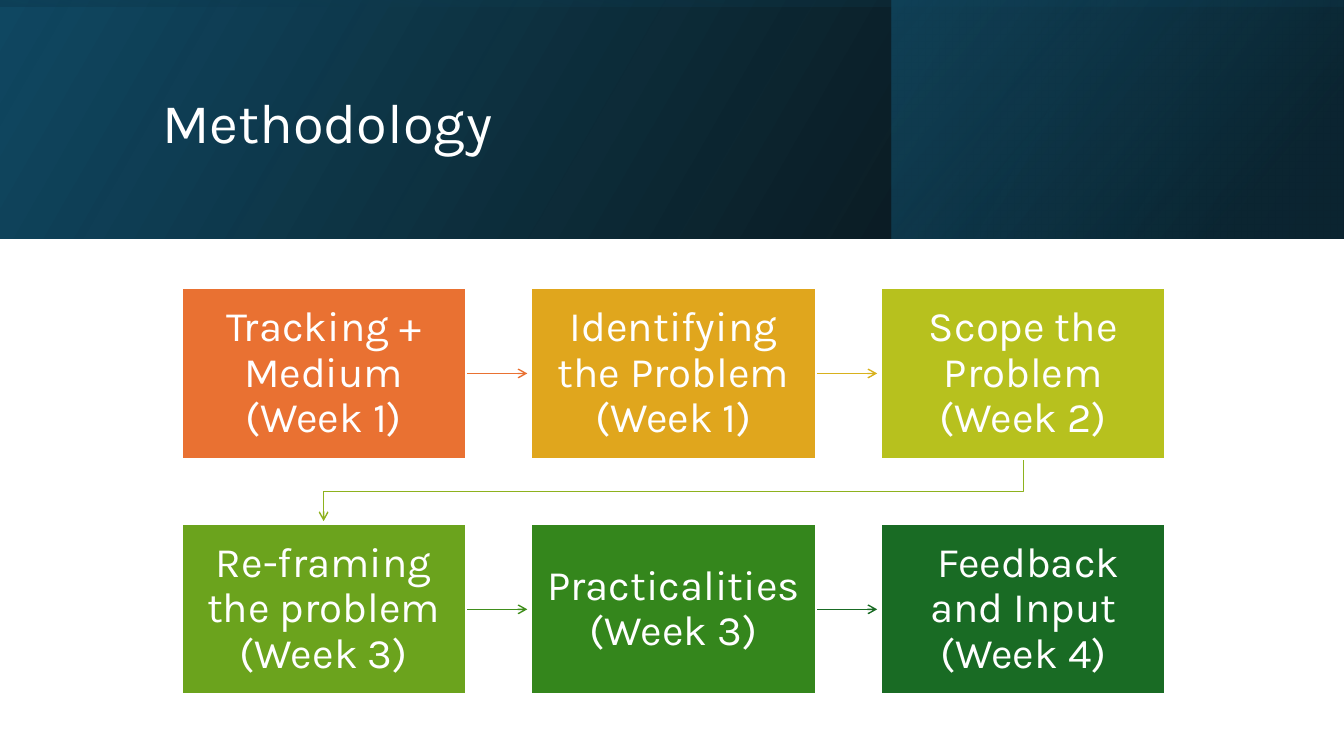
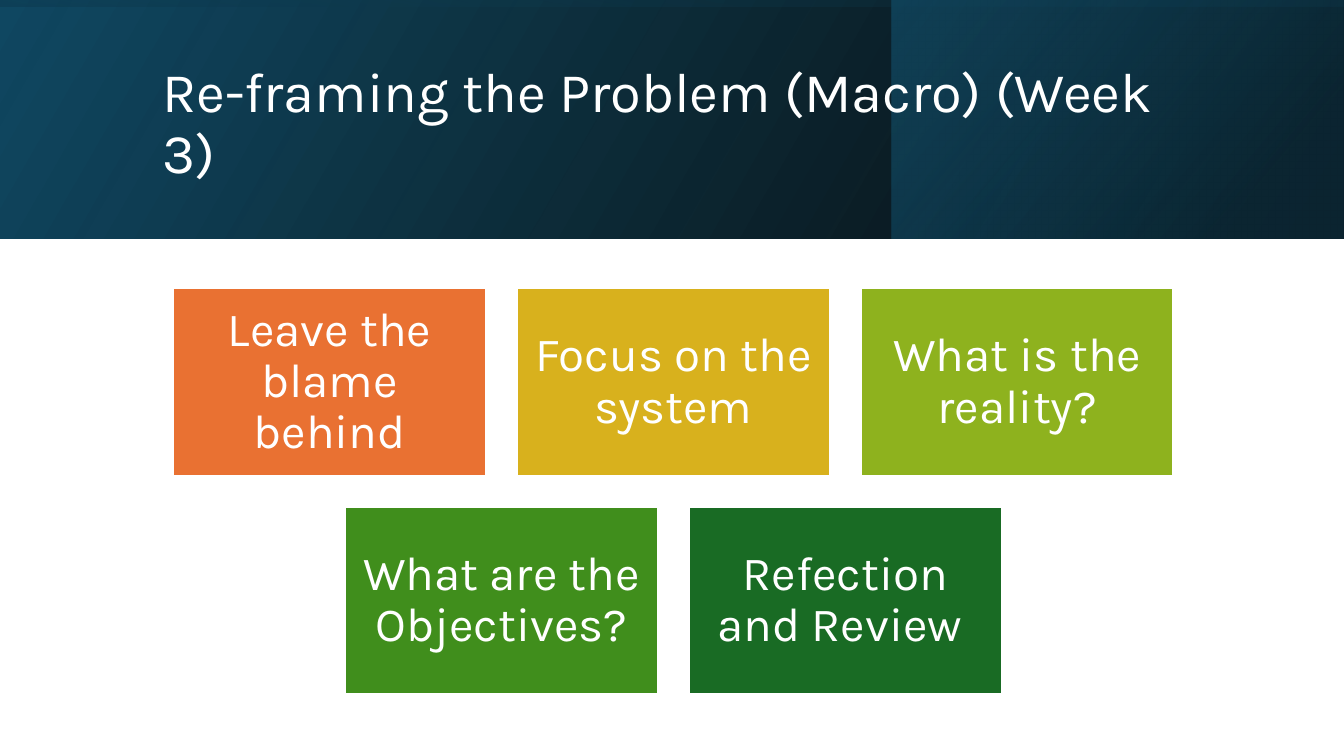
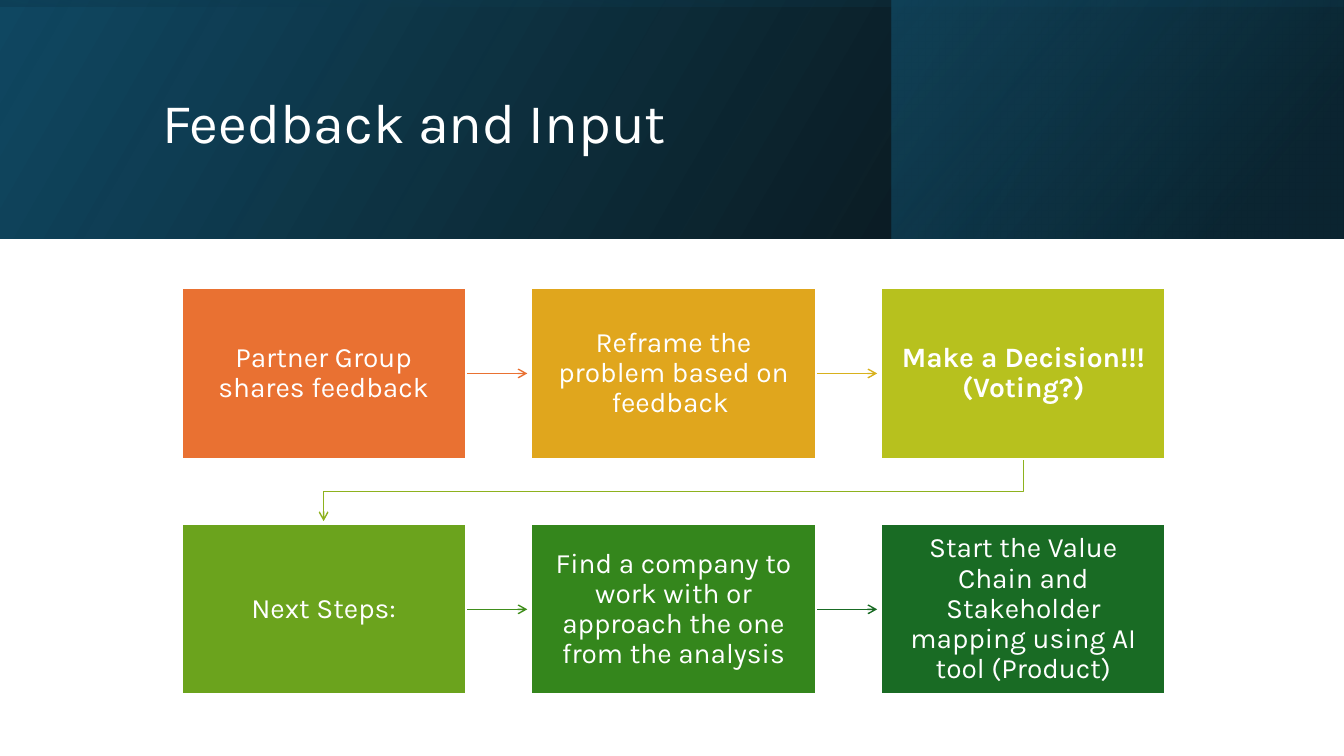
from dataclasses import dataclass

from lxml import etree
from pptx import Presentation
from pptx import util as u
from pptx.dml.color import RGBColor
from pptx.enum import shapes, text
from pptx.oxml.ns import qn

SLIDE_W, SLIDE_H = 13.33, 7.5
BAND_H = 2.37
FONT, WHITE = "Karla", "FFFFFF"
CENTRE_X, GRID_TOP = 6.68, 2.86
ACCENTS = ["E97132", "D8B11D", "8EB21E", "408E1C", "196B24"]
STEP_FILLS = ["E97132", "E0A61D", "B7C11E", "6BA31D", "34861C", "196B24"]


@dataclass(frozen=True)
class Band:
    """A see-through gradient rectangle; stops are (position, colour, alpha) in percent."""
    left: float
    top: float
    width: float
    height: float
    stops: tuple
    angle: int
    rotation: int = 0


@dataclass(frozen=True)
class Grid:
    """Rows of equal boxes, each row centred on the same axis."""
    rows: tuple
    width: float
    height: float
    pitch_x: float
    pitch_y: float

    def cells(self) -> list:
        """Return the left and top of every box in reading order."""
        return [
            (CENTRE_X - (self.width + (n - 1) * self.pitch_x) / 2 + col * self.pitch_x,
             GRID_TOP + row * self.pitch_y)
            for row, n in enumerate(self.rows) for col in range(n)
        ]


@dataclass(frozen=True)
class Box:
    """The wording of one box."""
    label: str
    bold: bool = False


BANDS = [
    Band(0, 0, SLIDE_W, BAND_H, ((0, "000000", 96), (100, "104862", 100)), 330),
    Band(8.84, 0, 4.48, BAND_H, ((19, "0B3041", 68), (100, "156082", 48)), 320),
    Band((SLIDE_W - BAND_H) / 2, (BAND_H - SLIDE_W) / 2, BAND_H, SLIDE_W,
         ((23, "104862", 16), (99, "000000", 45)), 350, 270),
]
FLOW = Grid((3, 3), 2.82, 1.69, 3.47, 2.34)
TILES = Grid((3, 2), 3.1, 1.86, 3.41, 2.17)


def rgb(value: str) -> RGBColor:
    """Turn a hex string into a colour."""
    return RGBColor.from_string(value)


def emu(*lengths: float) -> list:
    """Turn inches into slide units."""
    return [u.Inches(v) for v in lengths]


def write(sp, words: str, *, size: float, bold: bool = False, align=text.PP_ALIGN.LEFT,
          inset: tuple = (0.1, 0.05)) -> None:
    """Put one formatted paragraph into a shape."""
    tf = sp.text_frame
    tf.word_wrap = True
    tf.vertical_anchor = text.MSO_ANCHOR.MIDDLE
    tf.margin_left = tf.margin_right = u.Inches(inset[0])
    tf.margin_top = tf.margin_bottom = u.Inches(inset[1])
    p = tf.paragraphs[0]
    p.alignment, p.line_spacing = align, 0.9
    r = p.add_run()
    r.text = words
    r.font.name, r.font.size, r.font.bold = FONT, u.Pt(size), bold
    r.font.color.rgb = rgb(WHITE)


def add_rect(s, left: float, top: float, width: float, height: float):
    """Add a rectangle without a shadow."""
    sp = s.shapes.add_shape(shapes.MSO_SHAPE.RECTANGLE, *emu(left, top, width, height))
    sp.shadow.inherit = False
    return sp


def add_band(s, band: Band) -> None:
    """Draw one mirrored gradient band."""
    sp = add_rect(s, band.left, band.top, band.width, band.height)
    sp.rotation = band.rotation
    sp.line.fill.background()
    sp.fill.solid()
    props = sp._element.spPr
    props.find(qn("a:xfrm")).set("flipH", "1")
    grad = etree.Element(qn("a:gradFill"), rotWithShape="1")
    stops = etree.SubElement(grad, qn("a:gsLst"))
    for pos, colour, alpha in band.stops:
        gs = etree.SubElement(stops, qn("a:gs"), pos=str(pos * 1000))
        clr = etree.SubElement(gs, qn("a:srgbClr"), val=colour)
        etree.SubElement(clr, qn("a:alpha"), val=str(alpha * 1000))
    etree.SubElement(grad, qn("a:lin"), ang=str(band.angle * 60000), scaled="0")
    props.replace(props.find(qn("a:solidFill")), grad)


def style_arrow(sp, colour: str) -> None:
    """Give a line its colour, width and open arrowhead."""
    sp.line.color.rgb = rgb(colour)
    sp.line.width = u.Pt(1)
    etree.SubElement(sp.line._get_or_add_ln(), qn("a:tailEnd"), type="arrow")


def add_arrow(s, left: float, right: float, y: float, colour: str) -> None:
    """Draw a horizontal arrow."""
    sp = s.shapes.add_connector(shapes.MSO_CONNECTOR.STRAIGHT, *emu(left, y, right, y))
    style_arrow(sp, colour)
    etree.SubElement(sp._element.spPr, qn("a:effectLst"))


def add_return_arrow(s, points: list, colour: str) -> None:
    """Draw an arrow with square corners through the points."""
    start, *rest = [tuple(emu(*point)) for point in points]
    builder = s.shapes.build_freeform(*start)
    builder.add_line_segments(rest, close=False)
    sp = builder.convert_to_shape()
    sp.fill.background()
    style_arrow(sp, colour)
    sp.shadow.inherit = False


def add_boxes(s, grid: Grid, boxes: list, fills: list, size: float, inset: tuple) -> None:
    """Fill a grid with coloured, labelled boxes."""
    for (left, top), box, fill in zip(grid.cells(), boxes, fills):
        sp = add_rect(s, left, top, grid.width, grid.height)
        sp.fill.solid()
        sp.fill.fore_color.rgb = rgb(fill)
        sp.line.color.rgb = rgb(WHITE)
        sp.line.width = u.Pt(1.5)
        write(sp, box.label, size=size, bold=box.bold,
              align=text.PP_ALIGN.CENTER, inset=inset)


def add_flow(s, boxes: list, size: float) -> None:
    """Draw six steps in two rows, joined by arrows."""
    cells = FLOW.cells()
    half_w, half_h = FLOW.width / 2, FLOW.height / 2
    gap_y = FLOW.pitch_y - FLOW.height
    for (left, top), (next_left, next_top), colour in zip(cells, cells[1:], ACCENTS):
        if top == next_top:
            add_arrow(s, left + FLOW.width, next_left - 0.04, top + half_h, colour)
        else:
            x, next_x, bottom = left + half_w, next_left + half_w, top + FLOW.height
            middle = bottom + gap_y / 2
            add_return_arrow(s, [(x, bottom), (x, middle), (next_x, middle),
                                 (next_x, next_top - 0.03)], colour)
    add_boxes(s, FLOW, boxes, STEP_FILLS, size, (0.14, 0.15))


def add_slide(prs, title: str):
    """Add a slide with the banded header and its title."""
    s = prs.slides.add_slide(prs.slide_layouts[6])
    for band in BANDS:
        add_band(s, band)
    write(s.shapes.add_textbox(*emu(1.51, 0.38, 10.63, 1.72)), title, size=40)
    return s


def main() -> None:
    """Build the three slides and save them."""
    prs = Presentation()
    prs.slide_width, prs.slide_height = emu(SLIDE_W, SLIDE_H)

    add_flow(add_slide(prs, "Methodology"), [
        Box("Tracking + Medium (Week 1)"),
        Box("Identifying the Problem (Week 1)"),
        Box("Scope the Problem (Week 2)"),
        Box("Re-framing the problem (Week 3)"),
        Box("Practicalities (Week 3)"),
        Box(" Feedback and Input (Week 4)"),
    ], size=30)

    add_boxes(add_slide(prs, "Re-framing the Problem (Macro) (Week 3)"), TILES, [
        Box("Leave the blame behind"),
        Box("Focus on the system"),
        Box("What is the reality?"),
        Box("What are the Objectives?"),
        Box("Refection and Review "),
    ], ACCENTS, size=34, inset=(0.14, 0.14))

    add_flow(add_slide(prs, "Feedback and Input"), [
        Box("Partner Group shares feedback"),
        Box("Reframe the problem based on feedback "),
        Box("Make a Decision!!! (Voting?)", bold=True),
        Box("Next Steps:"),
        Box("Find a company to work with or approach the one from the analysis"),
        Box("Start the Value Chain and Stakeholder mapping using AI tool (Product)"),
    ], size=20)

    prs.save("out.pptx")


if __name__ == "__main__":
    main()
